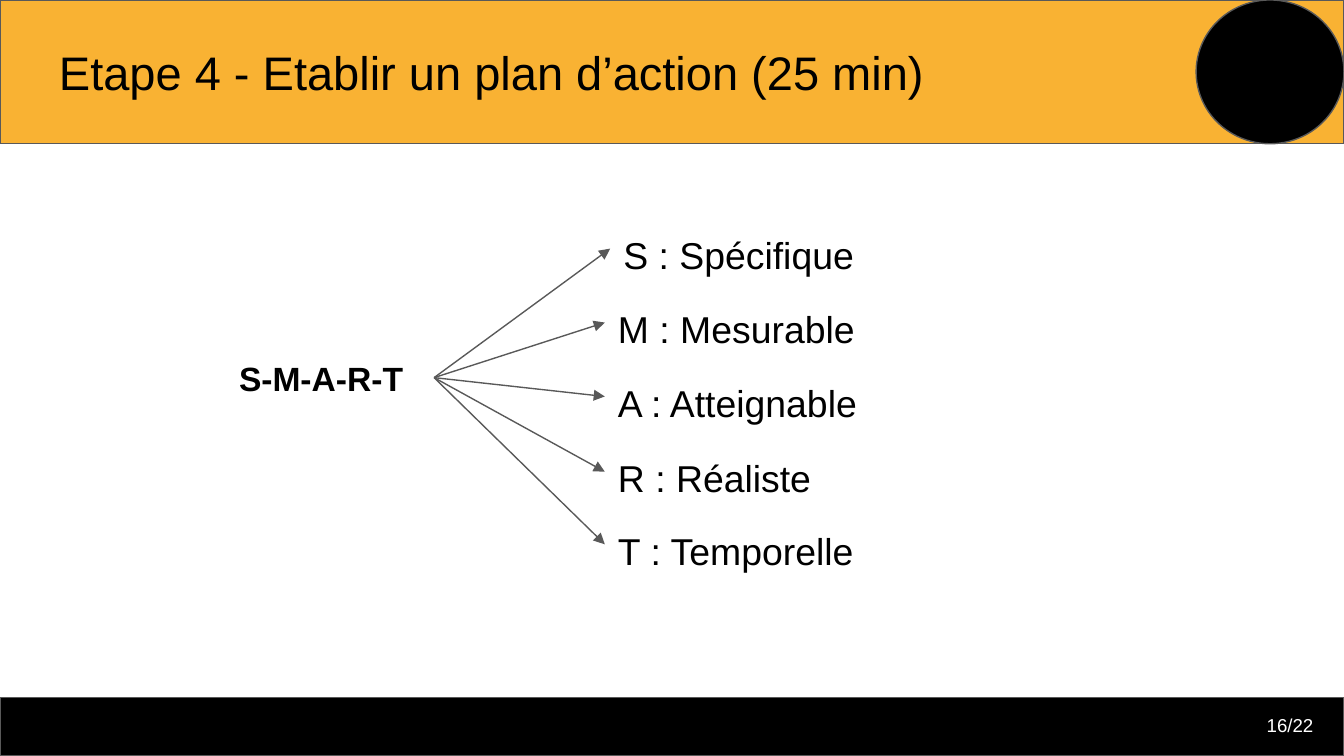
"""Build the S-M-A-R-T action plan slide."""
from dataclasses import dataclass

import pptx
import pptx.dml.color
import pptx.enum.shapes
import pptx.enum.text
import pptx.oxml.ns
import pptx.util
from lxml import etree
from pptx.util import Inches

ALIGN = pptx.enum.text.PP_ALIGN
ANCHOR = pptx.enum.text.MSO_ANCHOR
AUTO = pptx.enum.text.MSO_AUTO_SIZE
SHAPE = pptx.enum.shapes.MSO_SHAPE


@dataclass(frozen=True)
class Theme:
    font: str = "Arial"
    black: str = "000000"
    white: str = "FFFFFF"
    accent: str = "F9B233"
    outline: str = "595959"
    line_width: float = 0.75
    title_size: float = 25.2
    item_size: float = 20
    acronym_size: float = 18
    number_size: float = 10


@dataclass(frozen=True)
class Box:
    left: float
    top: float
    width: float
    height: float

    def lengths(self):
        return [Inches(v) for v in (self.left, self.top, self.width, self.height)]


@dataclass(frozen=True)
class Criterion:
    text: str
    left: float
    top: float


THEME = Theme()
CRITERIA = [
    Criterion("S : Spécifique", 4.54, 1.58),
    Criterion("M : Mesurable", 4.5, 2.13),
    Criterion("A : Atteignable", 4.5, 2.68),
    Criterion("R : Réaliste", 4.5, 3.24),
    Criterion("T : Temporelle", 4.5, 3.78),
]


def rgb(value: str):
    return pptx.dml.color.RGBColor.from_string(value)


def set_line(line) -> None:
    line.color.rgb = rgb(THEME.outline)
    line.width = pptx.util.Pt(THEME.line_width)


def add_panel(slide, kind, box: Box, fill: str):
    sp = slide.shapes.add_shape(kind, *box.lengths())
    sp.shadow.inherit = False
    sp.fill.solid()
    sp.fill.fore_color.rgb = rgb(fill)
    set_line(sp.line)
    return sp


def add_text(slide, text: str, box: Box, *, size: float, color: str = THEME.black,
             bold: bool = False, align=ALIGN.LEFT, anchor=ANCHOR.TOP,
             spacing: float = 1.0, grow: bool = False):
    sp = slide.shapes.add_textbox(*box.lengths())
    tf = sp.text_frame
    tf.word_wrap = True
    tf.auto_size = AUTO.SHAPE_TO_FIT_TEXT if grow else AUTO.NONE
    tf.vertical_anchor = anchor
    tf.margin_left = tf.margin_right = tf.margin_top = tf.margin_bottom = Inches(0.1)
    p = tf.paragraphs[0]
    p.alignment = align
    p.line_spacing = spacing
    r = p.add_run()
    r.text = text
    r.font.name = THEME.font
    r.font.size = pptx.util.Pt(size)
    r.font.bold = bold
    r.font.color.rgb = rgb(color)
    return sp


def add_arrow(slide, source, target):
    straight = pptx.enum.shapes.MSO_CONNECTOR.STRAIGHT
    cxn = slide.shapes.add_connector(straight, 0, 0, 0, 0)
    cxn.begin_connect(source, 3)
    cxn.end_connect(target, 1)
    set_line(cxn.line)
    qn = pptx.oxml.ns.qn
    etree.SubElement(cxn.line._get_or_add_ln(), qn("a:tailEnd"), type="triangle")
    etree.SubElement(cxn._element.spPr, qn("a:effectLst"))
    return cxn


def main() -> None:
    prs = pptx.Presentation()
    prs.slide_width = Inches(10)
    prs.slide_height = prs.slide_width * 9 // 16
    s = prs.slides.add_slide(prs.slide_layouts[6])

    add_panel(s, SHAPE.RECTANGLE, Box(0, 5.19, 10, 0.43), THEME.black)
    add_panel(s, SHAPE.RECTANGLE, Box(0, 0, 10, 1.07), THEME.accent)
    add_text(s, "Etape 4 - Etablir un plan d’action (25 min)",
             Box(0.34, 0.22, 9.32, 0.63), size=THEME.title_size)
    add_text(s, "16/22", Box(9.27, 5.18, 0.6, 0.43), size=THEME.number_size,
             color=THEME.white, align=ALIGN.RIGHT, anchor=ANCHOR.MIDDLE)
    add_panel(s, SHAPE.OVAL, Box(8.9, 0, 1.1, 1.07), THEME.black)

    acronym = add_text(s, "S-M-A-R-T", Box(1.68, 2.56, 1.55, 0.5),
                       size=THEME.acronym_size, bold=True, grow=True)
    targets = [add_text(s, c.text, Box(c.left, c.top, 2.33, 0.54), size=THEME.item_size,
                        align=ALIGN.JUSTIFY, spacing=1.15, grow=True)
               for c in CRITERIA]
    for target in targets:
        add_arrow(s, acronym, target)

    prs.save("out.pptx")


if __name__ == "__main__":
    main()
